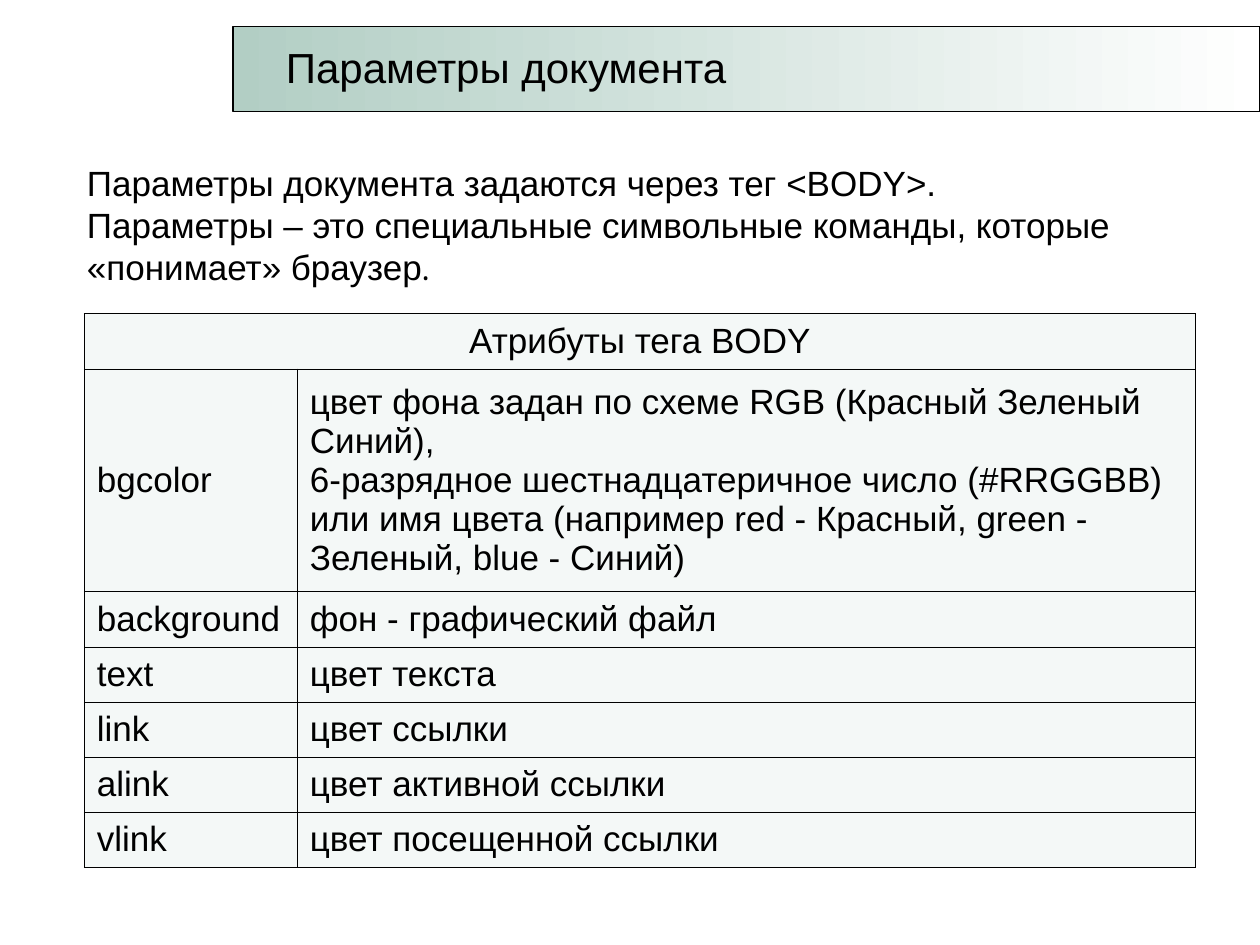
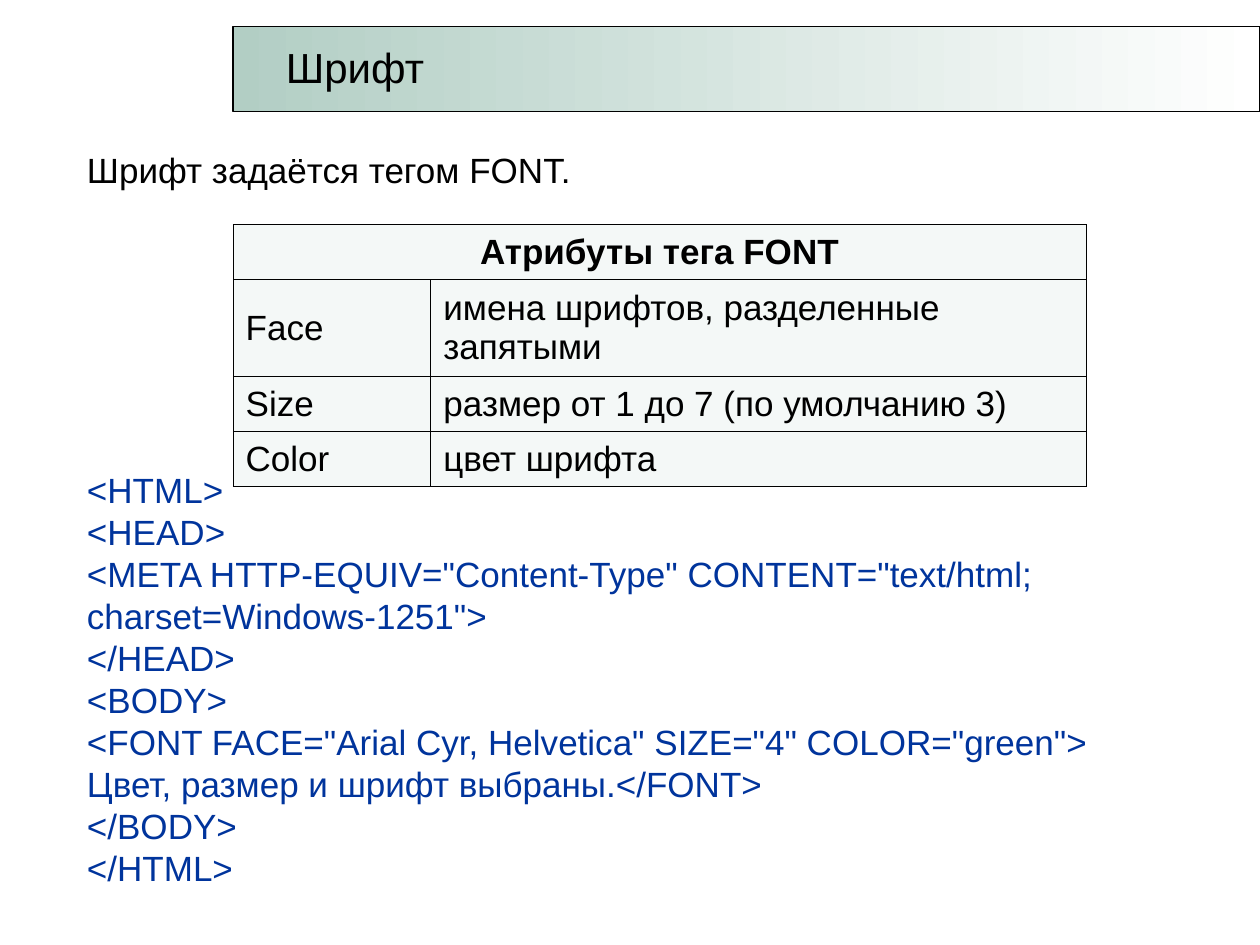
from lxml.etree import SubElement
from pptx import Presentation
from pptx.dml.color import RGBColor
from pptx.enum.shapes import MSO_SHAPE
from pptx.enum.text import MSO_ANCHOR, MSO_AUTO_SIZE, PP_ALIGN
from pptx.oxml.ns import qn
from pptx.util import Pt

# Content: a paragraph is a list of (text, font) runs
BODY_INTRO = [
    [("Параметры документа задаются через тег <BODY>.", "Arial")],
    [("Параметры – это специальные символьные команды, которые «понимает» браузер", "Arial"),
     (".", "Cambria")],
]
BODY_ATTRIBUTES = [
    ("bgcolor", "цвет фона задан по схеме RGB (Красный Зеленый Синий),\n"
                "6-разрядное шестнадцатеричное число (#RRGGBB) или имя цвета "
                "(например red - Красный, green - Зеленый, blue - Синий)"),
    ("background", "фон - графический файл"),
    ("text", "цвет текста"),
    ("link", "цвет ссылки"),
    ("alink", "цвет активной ссылки"),
    ("vlink", "цвет посещенной ссылки"),
]
FONT_INTRO = [[("Шрифт задаётся тегом FONT.", "Arial")]]
FONT_ATTRIBUTES = [
    ("Face", "имена шрифтов, разделенные запятыми"),
    ("Size", "размер от 1 до 7 (по умолчанию 3)"),
    ("Color", "цвет шрифта"),
]
FONT_CODE = [
    "<HTML>",
    "<HEAD>",
    '<META HTTP-EQUIV="Content-Type" CONTENT="text/html; charset=Windows-1251">',
    "</HEAD>",
    "<BODY>",
    '<FONT FACE="Arial Cyr, Helvetica" SIZE="4" COLOR="green">',
    "Цвет, размер и шрифт выбраны.</FONT>",
    "</BODY>",
    "</HTML>",
]

SLIDES = [
    {"title": "Параметры документа", "title_width": 267,
     "intro": BODY_INTRO, "intro_pitch": 24, "code": [],
     "text_box": (42.5, 88.5, 635, 79.2),
     "heading": "Атрибуты тега BODY", "heading_bold": False,
     "attributes": BODY_ATTRIBUTES, "table_at": (48.2, 179.3),
     "columns": (121.7, 513.3), "first_row": 127.4},
    {"title": "Шрифт", "title_width": 93.6,
     "intro": FONT_INTRO, "intro_pitch": 28.8, "code": FONT_CODE,
     "text_box": (42.5, 76.3, 629.3, 434.9),
     "heading": "Атрибуты тега FONT", "heading_bold": True,
     "attributes": FONT_ATTRIBUTES, "table_at": (133.2, 128.2),
     "columns": (113, 374.4), "first_row": 55.4},
]

# Shared style
BLACK = RGBColor(0x00, 0x00, 0x00)
WHITE = RGBColor(0xFF, 0xFF, 0xFF)
BAND_GREEN = RGBColor(0xB2, 0xCE, 0xC4)
CELL_GREEN = RGBColor(0xEB, 0xF3, 0xF0)
CODE_BLUE = RGBColor(0x00, 0x34, 0x9C)
TEXT_SIZE, TITLE_SIZE = 20, 24
TEXT_PITCH, CELL_PITCH = 24, 22.3
CODE_GAP = 159
ROW_HEIGHT = 31.5
BAND = (133.2, 15, 586.8, 48.8)
TITLE_LEFT, TITLE_TOP, TITLE_HEIGHT = 156.2, 20.2, 36


def points(values):
    return [Pt(value) for value in values]


def place(shape, left, top, width, height):
    shape.left, shape.top, shape.width, shape.height = points((left, top, width, height))


def add_run(paragraph, text, font="Arial", size=TEXT_SIZE, color=BLACK, bold=False):
    run = paragraph.add_run()
    run.text = text
    run.font.name = font
    run.font.size = Pt(size)
    run.font.bold = bold
    run.font.color.rgb = color


def set_frame(frame, wrap, anchor):
    frame.word_wrap = wrap
    frame.auto_size = MSO_AUTO_SIZE.NONE
    frame.vertical_anchor = anchor
    frame.margin_left = frame.margin_right = Pt(7.2)
    frame.margin_top = frame.margin_bottom = Pt(3.6)


def add_title(slide, text, width):
    # Gradient band, with the title in front of it
    band = slide.shapes.add_shape(MSO_SHAPE.RECTANGLE, *points(BAND))
    band.shadow.inherit = False
    band.fill.gradient()
    band.fill.gradient_angle = 0
    for stop, color, position in zip(band.fill.gradient_stops, (BAND_GREEN, WHITE), (0, 1)):
        stop.color.rgb = color
        stop.position = position
    band.line.color.rgb = BLACK
    band.line.width = Pt(0.75)

    title = slide.shapes.title
    place(title, TITLE_LEFT, TITLE_TOP, width, TITLE_HEIGHT)
    set_frame(title.text_frame, False, MSO_ANCHOR.TOP)
    paragraph = title.text_frame.paragraphs[0]
    paragraph.alignment = PP_ALIGN.LEFT
    add_run(paragraph, text, size=TITLE_SIZE)
    band._element.addnext(title._element)


def add_text(slide, content):
    body = slide.placeholders[1]
    place(body, *content["text_box"])
    frame = body.text_frame
    set_frame(frame, True, MSO_ANCHOR.MIDDLE)

    intro = [(runs, BLACK, content["intro_pitch"], 0) for runs in content["intro"]]
    code = [([(line, "Arial")], CODE_BLUE, TEXT_PITCH, 0 if index else CODE_GAP)
            for index, line in enumerate(content["code"])]
    for index, (runs, color, pitch, gap) in enumerate(intro + code):
        paragraph = frame.add_paragraph() if index else frame.paragraphs[0]
        paragraph.line_spacing = Pt(pitch)
        paragraph.space_before = Pt(gap)
        properties = paragraph._p.get_or_add_pPr()
        properties.set("marL", "0")
        properties.set("indent", "0")
        SubElement(properties, qn("a:buNone"))
        for text, font in runs:
            add_run(paragraph, text, font, color=color)


def style_cell(cell):
    cell.vertical_anchor = MSO_ANCHOR.MIDDLE
    cell.margin_left = cell.margin_right = Pt(7.2)
    cell.margin_top = cell.margin_bottom = Pt(3.6)
    properties = cell._tc.get_or_add_tcPr()
    for side in ("lnL", "lnR", "lnT", "lnB"):
        border = SubElement(properties, qn(f"a:{side}"), w=str(Pt(0.45)))
        fill = SubElement(border, qn("a:solidFill"))
        SubElement(fill, qn("a:srgbClr"), val=str(BLACK))
    # Half-transparent fill
    cell.fill.solid()
    cell.fill.fore_color.rgb = CELL_GREEN
    SubElement(properties.find(f".//{qn('a:srgbClr')}[@val='{CELL_GREEN}']"),
               qn("a:alpha"), val="50000")


def write_cell(cell, text, bold=False):
    paragraph = cell.text_frame.paragraphs[0]
    paragraph.line_spacing = Pt(CELL_PITCH)
    for index, line in enumerate(text.split("\n")):
        if index:
            paragraph.add_line_break()
        add_run(paragraph, line, bold=bold)
    return paragraph


def add_attribute_table(slide, content):
    columns, attributes = content["columns"], content["attributes"]
    heights = [ROW_HEIGHT, content["first_row"]] + [ROW_HEIGHT] * (len(attributes) - 1)
    size = (sum(columns), sum(heights))
    table = slide.shapes.add_table(len(heights), len(columns),
                                   *points(content["table_at"] + size)).table
    table.first_row = table.horz_banding = False
    for column, width in zip(table.columns, columns):
        column.width = Pt(width)
    for row, height in zip(table.rows, heights):
        row.height = Pt(height)
    for cell in table.iter_cells():
        style_cell(cell)

    heading = table.cell(0, 0)
    heading.merge(table.cell(0, 1))
    write_cell(heading, content["heading"], content["heading_bold"]).alignment = PP_ALIGN.CENTER
    for row, attribute in enumerate(attributes, start=1):
        for column, text in enumerate(attribute):
            write_cell(table.cell(row, column), text)


def main():
    presentation = Presentation()
    presentation.slide_width, presentation.slide_height = Pt(720), Pt(540)
    for content in SLIDES:
        slide = presentation.slides.add_slide(presentation.slide_layouts[1])
        add_text(slide, content)
        add_attribute_table(slide, content)
        add_title(slide, content["title"], content["title_width"])
    presentation.save("out.pptx")


if __name__ == "__main__":
    main()
